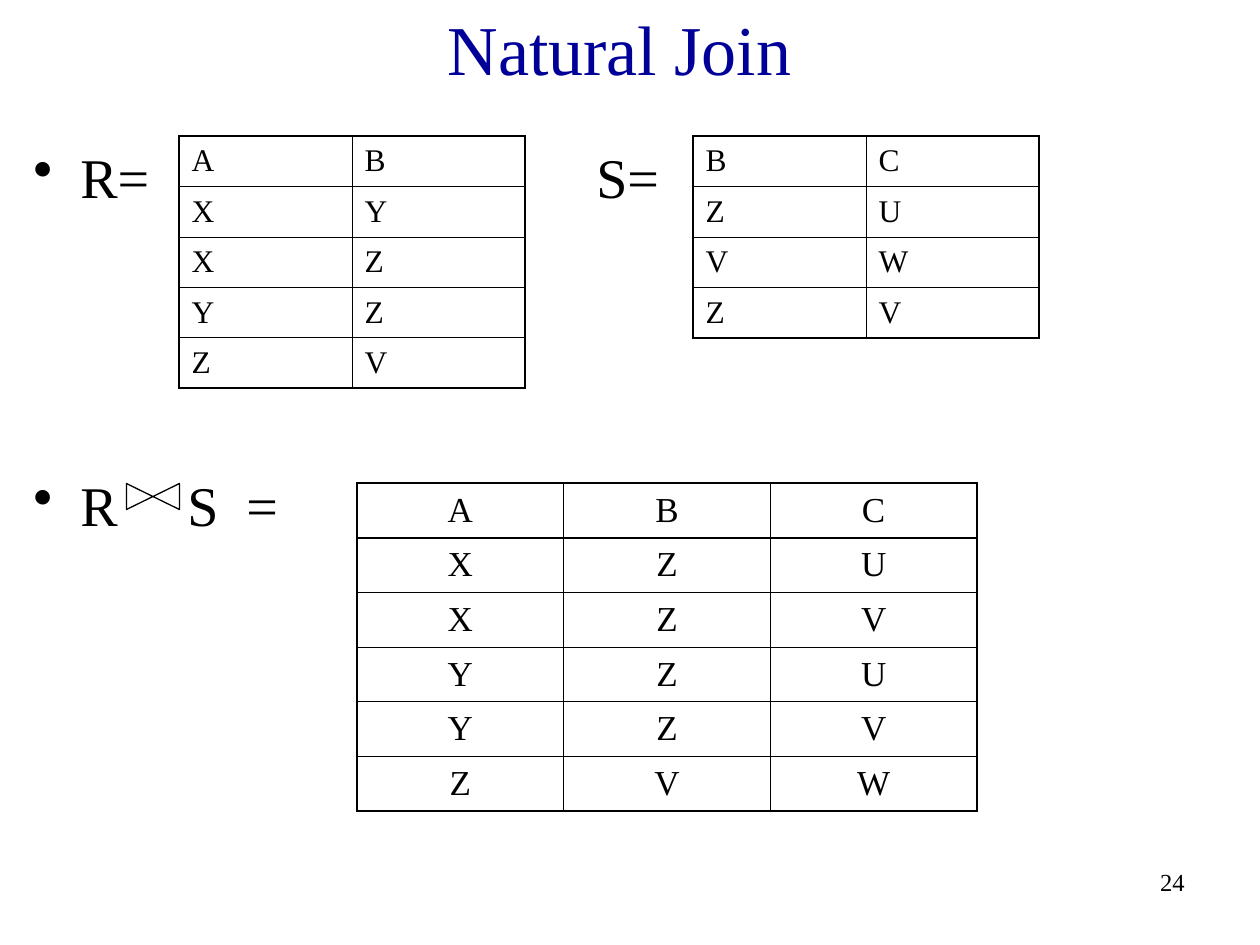
import pptx
import pptx.dml.color
import pptx.enum.shapes
import pptx.enum.text
import pptx.oxml
import pptx.oxml.ns
import pptx.util

PX = 914400 / 126
FONT = "Times New Roman"
BLACK = "000000"
NAVY = "000099"
ALIGN = pptx.enum.text.PP_ALIGN
ANCHOR = pptx.enum.text.MSO_ANCHOR
NS = pptx.oxml.ns.nsdecls("a")


def px(length):
    """Turn px into EMU."""
    return pptx.util.Emu(round(length * PX))


def rgb(value):
    """Turn a hex string into a colour."""
    return pptx.dml.color.RGBColor.from_string(value)


def write(paragraph, text, size=32, color=BLACK, align=ALIGN.LEFT, before=0):
    """Write formatted text into a paragraph."""
    paragraph.alignment = align
    paragraph.space_before = pptx.util.Pt(before)
    run = paragraph.add_run()
    run.text = text
    run.font.name = FONT
    run.font.size = pptx.util.Pt(size)
    run.font.color.rgb = rgb(color)


def add_title(slide, text):
    """Place and fill the title placeholder."""
    title = slide.shapes.title
    title.left, title.top, title.width, title.height = map(px, (21, 0, 1197, 94))
    title.text_frame.vertical_anchor = ANCHOR.MIDDLE
    write(title.text_frame.paragraphs[0], text, size=40, color=NAVY, align=ALIGN.CENTER)


def add_text_frame(slide, left, top, width, height):
    """Add a wrapping text box and return its frame."""
    frame = slide.shapes.add_textbox(*map(px, (left, top, width, height))).text_frame
    frame.word_wrap = True
    return frame


def set_bullet(paragraph, indent, stops):
    """Give a paragraph a hanging bullet and tab stops."""
    properties = paragraph._p.get_or_add_pPr()
    properties.set("marL", str(px(indent)))
    properties.set("indent", str(-px(indent)))
    tabs = "".join(f'<a:tab pos="{px(stop)}" algn="l"/>' for stop in stops)
    for xml in (
        f'<a:buClr {NS}><a:srgbClr val="{BLACK}"/></a:buClr>',
        f'<a:buChar {NS} char="•"/>',
        f"<a:tabLst {NS}>{tabs}</a:tabLst>",
    ):
        properties.append(pptx.oxml.parse_xml(xml))


def add_formulas(slide, formulas):
    """Add the bulleted formulas as (text, space before, tab stops)."""
    frame = add_text_frame(slide, 21, 136, 1197, 746)
    for index, (text, before, stops) in enumerate(formulas):
        paragraph = frame.add_paragraph() if index else frame.paragraphs[0]
        write(paragraph, text, before=before)
        set_bullet(paragraph, 47, stops)


def set_borders(cell, heavy_sides):
    """Draw the four borders of a cell, heavier on the given sides."""
    properties = cell._tc.get_or_add_tcPr()
    for index, side in enumerate("LRTB"):
        width = pptx.util.Pt(1.08 if side in heavy_sides else 0.45)
        properties.insert(index, pptx.oxml.parse_xml(
            f'<a:ln{side} {NS} w="{width}"><a:solidFill>'
            f'<a:srgbClr val="{BLACK}"/></a:solidFill></a:ln{side}>'))


def add_relation(slide, rows, left, top, width, height, **text_format):
    """Add a relation as a table with a ruled header and outline."""
    last_row, last_column = len(rows) - 1, len(rows[0]) - 1
    table = slide.shapes.add_table(
        len(rows), len(rows[0]), *map(px, (left, top, width, height))).table
    table.first_row = table.horz_banding = False
    for r, values in enumerate(rows):
        for c, value in enumerate(values):
            cell = table.cell(r, c)
            cell.fill.background()
            cell.vertical_anchor = ANCHOR.MIDDLE
            write(cell.text_frame.paragraphs[0], value, **text_format)
            heavy = {"L": c == 0, "R": c == last_column,
                     "T": r <= 1, "B": r in (0, last_row)}
            set_borders(cell, [side for side in heavy if heavy[side]])


def add_join_sign(slide):
    """Add the bow-tie sign of the natural join."""
    sign = slide.shapes.add_shape(
        pptx.enum.shapes.MSO_SHAPE.FLOWCHART_COLLATE, *map(px, (140, 470, 26, 53)))
    sign.rotation = 270
    sign.shadow.inherit = False
    sign.fill.background()
    sign.line.color.rgb = rgb(BLACK)
    sign.line.width = pptx.util.Pt(0.75)


def main():
    """Build the natural join slide."""
    deck = pptx.Presentation()
    deck.slide_width, deck.slide_height = px(1260), px(945)
    slide = deck.slides.add_slide(deck.slide_layouts[5])
    add_title(slide, "Natural Join")
    add_formulas(slide, [("R=\tS=", 8, [563]), ("R\tS\t=", 149, [154, 213])])
    add_relation(slide, ["AB", "XY", "XZ", "YZ", "ZV"],
                 179, 136, 346, 252, size=18, before=4.5)
    add_relation(slide, ["BC", "ZU", "VW", "ZV"],
                 693, 136, 346, 202, size=18, before=4.5)
    add_relation(slide, ["ABC", "XZU", "XZV", "YZU", "YZV", "ZVW"],
                 357, 483, 620, 328, size=20, before=5, align=ALIGN.CENTER)
    add_join_sign(slide)
    page = add_text_frame(slide, 935, 861, 262, 63)
    write(page.paragraphs[0], "24", size=14, align=ALIGN.RIGHT)
    deck.save("out.pptx")


if __name__ == "__main__":
    main()
